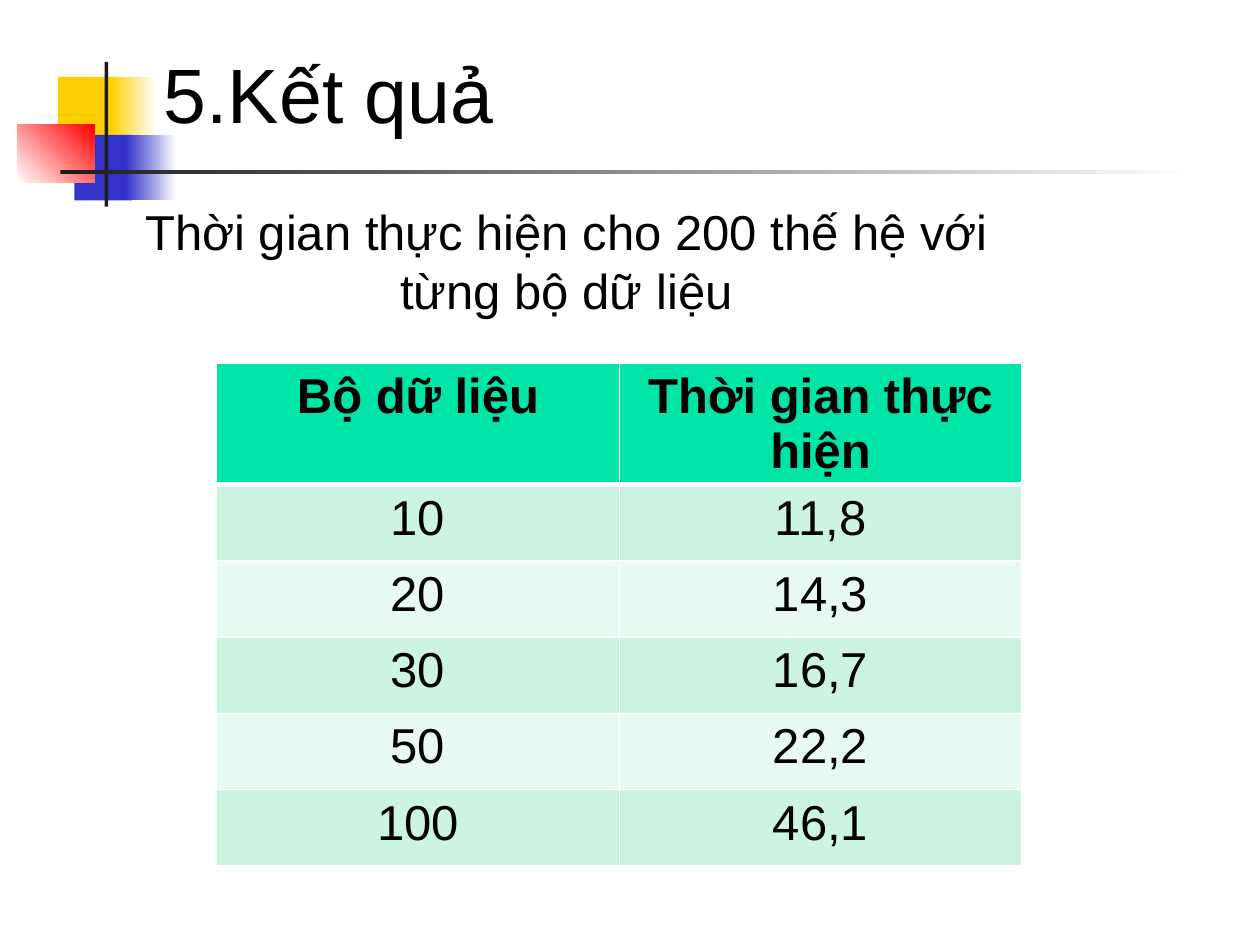
import dataclasses

import lxml.etree
import pptx
import pptx.dml.color
import pptx.enum.shapes
import pptx.enum.text
import pptx.oxml.ns
import pptx.util

ALIGN = pptx.enum.text.PP_ALIGN
ANCHOR = pptx.enum.text.MSO_ANCHOR
UNIT = pptx.util.Inches(0.1)  # the slide is a grid of 100 columns by 75 rows
COLUMNS, ROWS = 100, 75


@dataclasses.dataclass(frozen=True)
class Theme:
    font: str = "Arial"
    title_size: int = 44
    body_size: int = 28
    text: str = "000000"
    paper: str = "FFFFFF"
    yellow: str = "FFCF01"
    blue: str = "3333CC"
    red: str = "FF0000"
    ink: str = "1C1C1C"
    header: str = "00E4A8"
    bands: tuple = ("CCF5E1", "E7FAF1")
    rule: int = 1
    header_rule: int = 3


@dataclasses.dataclass(frozen=True)
class Box:
    left: float
    top: float
    width: float
    height: float

    def inner(self, left, top, width, height):
        return Box(self.left + left, self.top + top, width, height)

    def emu(self):
        return [round(v * UNIT) for v in dataclasses.astuple(self)]


THEME = Theme()
RESULTS = [
    ("Bộ dữ liệu", "Thời gian thực hiện"),
    ("10", "11,8"),
    ("20", "14,3"),
    ("30", "16,7"),
    ("50", "22,2"),
    ("100", "46,1"),
]


def rgb(value):
    return pptx.dml.color.RGBColor.from_string(value)


def write(frame, text, *, size=THEME.body_size, bold=False, align=ALIGN.CENTER, spacing=None):
    frame.word_wrap = True
    paragraph = frame.paragraphs[0]
    paragraph.alignment = align
    paragraph.line_spacing = spacing
    run = paragraph.add_run()
    run.text = text
    run.font.name = THEME.font
    run.font.size = pptx.util.Pt(size)
    run.font.bold = bold
    run.font.color.rgb = rgb(THEME.text)


def add_block(slide, box, start, end=None, angle=0):
    """Rectangle in one colour, or fading from start to end."""
    block = slide.shapes.add_shape(pptx.enum.shapes.MSO_SHAPE.RECTANGLE, *box.emu())
    block.shadow.inherit = False
    block.line.fill.background()
    if end is None:
        block.fill.solid()
        block.fill.fore_color.rgb = rgb(start)
        return
    block.fill.gradient()
    block.fill.gradient_angle = angle
    for stop, color in zip(block.fill.gradient_stops, (start, end)):
        stop.color.rgb = rgb(color)


def add_ornament(slide, box):
    for color, left, top, width, fade_left, fade_width in (
        (THEME.yellow, 3.2, 1.2, 4.8, 7.4, 3.6),
        (THEME.blue, 4.5, 5.8, 4.6, 8.6, 4),
    ):
        add_block(slide, box.inner(left, top, width, 5.2), color)
        add_block(slide, box.inner(fade_left, top, fade_width, 5.2), color, THEME.paper)
    add_block(slide, box.inner(0, 5, 6.1, 4.6), THEME.paper, THEME.red, angle=45)
    add_block(slide, box.inner(6.9, 0, 0.3, box.height), THEME.ink)
    add_block(slide, box.inner(3.4, 8.6, box.width - 3.4, 0.3), THEME.ink, THEME.paper)


def place_title(slide, box, text):
    title = slide.shapes.title
    title.left, title.top, title.width, title.height = box.emu()
    frame = title.text_frame
    frame.auto_size = pptx.enum.text.MSO_AUTO_SIZE.NONE
    frame.vertical_anchor = ANCHOR.MIDDLE
    frame.margin_left = frame.margin_right = frame.margin_top = frame.margin_bottom = 0
    write(frame, text, size=THEME.title_size, align=ALIGN.LEFT, spacing=0.9)


def add_caption(slide, box, text):
    frame = slide.shapes.add_textbox(*box.emu()).text_frame
    write(frame, text)
    frame.auto_size = pptx.enum.text.MSO_AUTO_SIZE.SHAPE_TO_FIT_TEXT


def set_borders(cell, **widths):
    """Cell borders in the paper colour; widths in points by side L, R, T, B."""
    properties = cell._tc.get_or_add_tcPr()
    qn = pptx.oxml.ns.qn
    for side, width in widths.items():
        line = lxml.etree.SubElement(properties, qn(f"a:ln{side}"), w=str(pptx.util.Pt(width)))
        fill = lxml.etree.SubElement(line, qn("a:solidFill"))
        lxml.etree.SubElement(fill, qn("a:srgbClr"), val=THEME.paper)


def add_results_table(slide, box, records):
    table = slide.shapes.add_table(len(records), len(records[0]), *box.emu()).table
    for r, record in enumerate(records):
        fill = THEME.bands[(r - 1) % 2] if r else THEME.header
        for c, value in enumerate(record):
            cell = table.cell(r, c)
            set_borders(
                cell,
                L=THEME.rule,
                R=THEME.rule,
                T=THEME.header_rule if r == 1 else THEME.rule,
                B=THEME.header_rule if r == 0 else THEME.rule,
            )
            cell.fill.solid()
            cell.fill.fore_color.rgb = rgb(fill)
            write(cell.text_frame, value, bold=r == 0)


def build_results_slide(deck):
    slide = deck.slides.add_slide(deck.slide_layouts.get_by_name("Title Only"))
    slide.background.fill.solid()
    slide.background.fill.fore_color.rgb = rgb(THEME.paper)
    add_ornament(slide, Box(1.4, 4.9, 93.4, 11.5))
    place_title(slide, Box(13, 2.3, 84.8, 11), "5.Kết quả")
    add_results_table(slide, Box(17.2, 28.8, 63.9, 36.3), RESULTS)
    add_caption(
        slide,
        Box(6.4, 15.5, 77.1, 10.4),
        "Thời gian thực hiện cho 200 thế hệ với từng bộ dữ liệu",
    )


def main():
    deck = pptx.Presentation()
    deck.slide_width, deck.slide_height = COLUMNS * UNIT, ROWS * UNIT
    build_results_slide(deck)
    deck.save("out.pptx")


if __name__ == "__main__":
    main()
